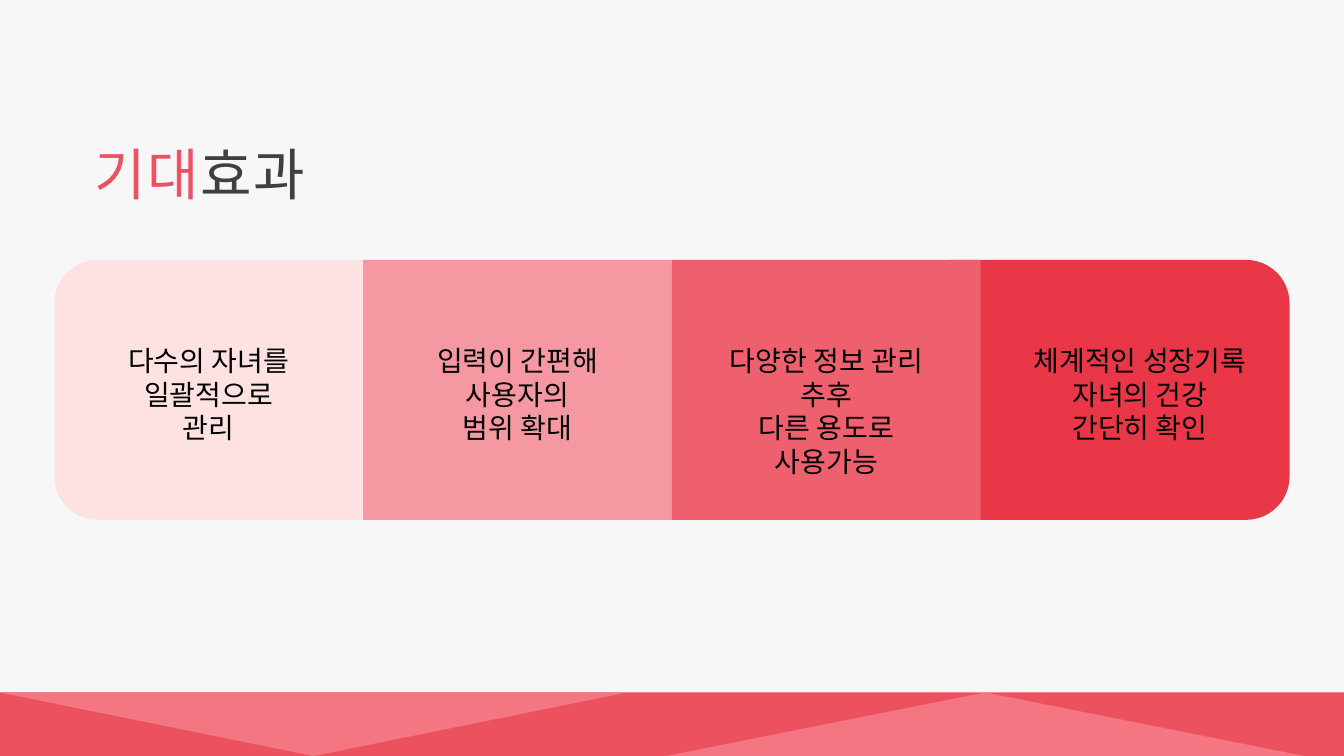
"""Build the expected-benefits slide: four tinted panels above a faceted footer."""
from dataclasses import dataclass

from pptx import Presentation
from pptx import util as u
from pptx.dml import color
from pptx.enum import shapes, text
from pptx.oxml import ns

FONT = "Noto Sans CJK KR"
SLIDE_WIDTH, SLIDE_HEIGHT = 33.87, 19.05
PANEL_LEFT, PANEL_TOP, PANEL_HEIGHT = 1.37, 6.55, 6.55
PANEL_WIDTH = (SLIDE_WIDTH - 2 * PANEL_LEFT) / 4
BENEFIT_TOP, BENEFIT_WIDTH, BENEFIT_HEIGHT = 8.66, 5.6, 2.56
FOOTER_TOP, FOOTER_HEIGHT = 17.45, 1.6
RECT = shapes.MSO_SHAPE.RECTANGLE
ROUND = shapes.MSO_SHAPE.ROUNDED_RECTANGLE
TRIANGLE = shapes.MSO_SHAPE.ISOSCELES_TRIANGLE


@dataclass(frozen=True)
class Panel:
    column: int
    outline: shapes.MSO_SHAPE
    tint: str
    benefit: str
    extend_left: float = 0
    extend_right: float = 0
    benefit_shift: float = 0


@dataclass(frozen=True)
class Facet:
    outline: shapes.MSO_SHAPE
    left: float
    width: float
    tint: str
    rotation: int = 0


PANELS = [
    Panel(3, ROUND, "E93748", "체계적인 성장기록\n자녀의 건강\n간단히 확인",
          extend_left=1.85, benefit_shift=0.12),
    Panel(0, ROUND, "FEE2E2", "다수의 자녀를\n일괄적으로\n관리", extend_right=1.03),
    Panel(1, RECT, "F698A1", "입력이 간편해\n사용자의\n범위 확대"),
    Panel(2, RECT, "EE606E", "다양한 정보 관리\n추후\n다른 용도로 사용가능"),
]
FACETS = [
    Facet(RECT, 0, SLIDE_WIDTH, "EC515F"),
    Facet(TRIANGLE, 16.79, 16.08, "F47682"),
    Facet(TRIANGLE, 0, 15.8, "F47682", rotation=180),
]


def paint(target, tint: str) -> None:
    """Give a fill or a font a solid colour."""
    if hasattr(target, "solid"):
        target.solid()
        target.fore_color.rgb = color.RGBColor.from_string(tint)
    else:
        target.color.rgb = color.RGBColor.from_string(tint)


def style_run(run, size: float, tint: str) -> None:
    """Set the size, colour and Latin and East Asian typeface of a run."""
    run.font.size = u.Pt(size)
    run.font.name = FONT
    paint(run.font, tint)
    east_asian = run._r.get_or_add_rPr().makeelement(ns.qn("a:ea"), {"typeface": FONT})
    run._r.rPr.find(ns.qn("a:latin")).addnext(east_asian)


def prepare_frame(frame) -> None:
    """Make a text frame wrap from its top edge without insets."""
    frame.word_wrap = True
    frame.vertical_anchor = text.MSO_ANCHOR.TOP
    frame.margin_left = frame.margin_right = frame.margin_top = frame.margin_bottom = 0


def draw_block(slide, outline: shapes.MSO_SHAPE, left: float, top: float,
               width: float, height: float, tint: str, rotation: int = 0) -> None:
    """Draw a flat borderless shape, measured in centimetres."""
    block = slide.shapes.add_shape(outline, u.Cm(left), u.Cm(top), u.Cm(width), u.Cm(height))
    block.shadow.inherit = False
    block.line.fill.background()
    block.rotation = rotation
    paint(block.fill, tint)


def draw_panel(slide, panel: Panel) -> None:
    """Draw the coloured outline of one panel."""
    left = PANEL_LEFT + panel.column * PANEL_WIDTH - panel.extend_left
    width = PANEL_WIDTH + panel.extend_left + panel.extend_right
    draw_block(slide, panel.outline, left, PANEL_TOP, width, PANEL_HEIGHT, panel.tint)


def write_benefit(slide, panel: Panel) -> None:
    """Write the benefit centred in its panel."""
    left = (PANEL_LEFT + (panel.column + 0.5) * PANEL_WIDTH
            - BENEFIT_WIDTH / 2 + panel.benefit_shift)
    benefit = slide.shapes.add_textbox(
        u.Cm(left), u.Cm(BENEFIT_TOP), u.Cm(BENEFIT_WIDTH), u.Cm(BENEFIT_HEIGHT))
    prepare_frame(benefit.text_frame)
    benefit.text_frame.text = panel.benefit
    for line in benefit.text_frame.paragraphs:
        line.alignment = text.PP_ALIGN.CENTER
        line.line_spacing = u.Pt(24)
        for run in line.runs:
            style_run(run, 20, "000000")


def write_title(slide) -> None:
    """Write the two-coloured title in its placeholder."""
    title = slide.shapes.title
    title.left, title.top, title.width, title.height = map(u.Cm, (1.75, 3.51, 6.58, 1.7))
    prepare_frame(title.text_frame)
    heading = title.text_frame.paragraphs[0]
    heading.alignment = text.PP_ALIGN.CENTER
    heading.line_spacing = u.Pt(48)
    for wording, tint in (("기대", "EC5261"), ("효과", "404040")):
        run = heading.add_run()
        run.text = wording
        style_run(run, 40, tint)
        run._r.rPr.set("spc", "100")


def main() -> None:
    """Assemble and save the slide."""
    deck = Presentation()
    deck.slide_width, deck.slide_height = u.Cm(SLIDE_WIDTH), u.Cm(SLIDE_HEIGHT)
    slide = deck.slides.add_slide(deck.slide_layouts[5])
    paint(slide.background.fill, "F7F7F7")
    for facet in FACETS:
        draw_block(slide, facet.outline, facet.left, FOOTER_TOP, facet.width,
                   FOOTER_HEIGHT, facet.tint, facet.rotation)
    write_title(slide)
    for panel in PANELS:
        draw_panel(slide, panel)
    for panel in PANELS:
        write_benefit(slide, panel)
    deck.save("out.pptx")


if __name__ == "__main__":
    main()
